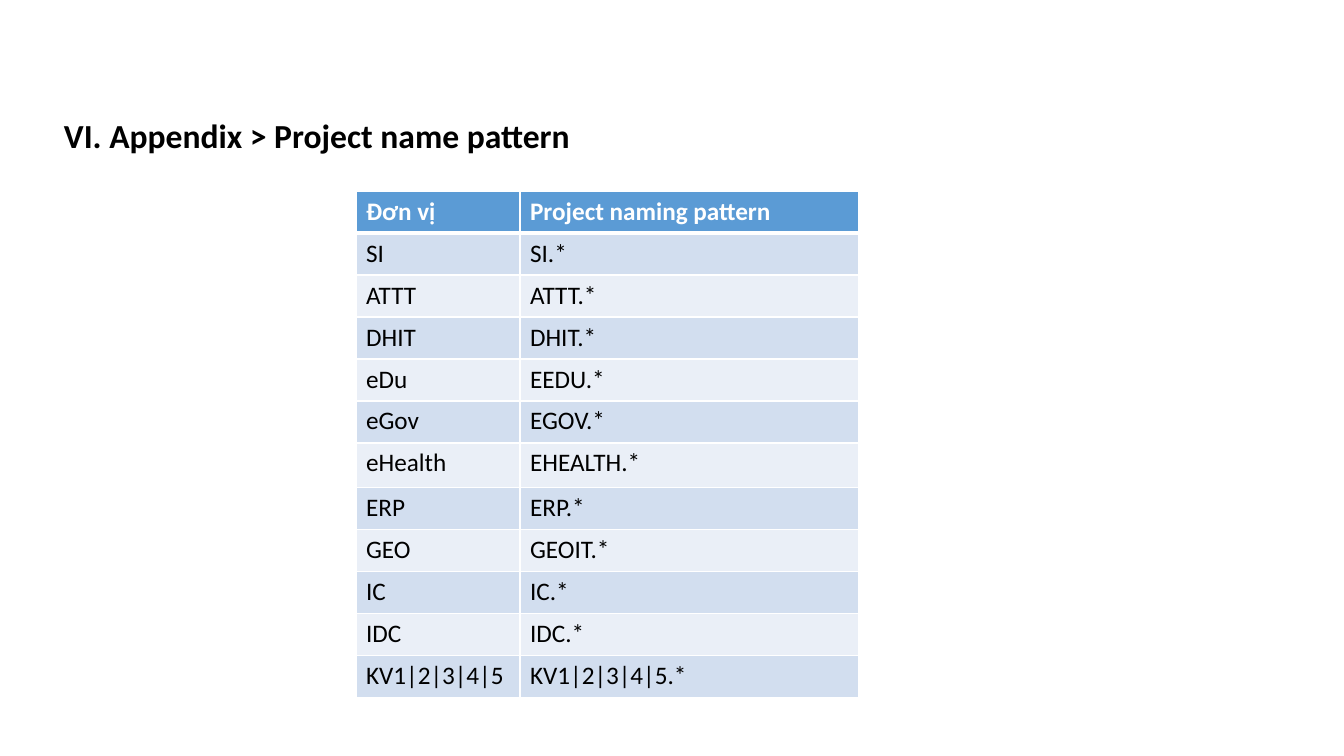
import pptx
import pptx.util
import pptx.dml.color
import pptx.enum.text
import pptx.oxml
import pptx.oxml.ns

RGB = pptx.dml.color.RGBColor
BLACK = RGB(0x00, 0x00, 0x00)
WHITE = RGB(0xFF, 0xFF, 0xFF)
BLUE = RGB(0x5B, 0x9B, 0xD5)
BANDS = (RGB(0xEA, 0xEF, 0xF7), RGB(0xD2, 0xDE, 0xEF))
FONT = "Calibri"

ROWS = [
    ("Đơn vị", "Project naming pattern"),
    ("SI", "SI.*"),
    ("ATTT", "ATTT.*"),
    ("DHIT", "DHIT.*"),
    ("eDu", "EEDU.*"),
    ("eGov", "EGOV.*"),
    ("eHealth", "EHEALTH.*"),
    ("ERP", "ERP.*"),
    ("GEO", "GEOIT.*"),
    ("IC", "IC.*"),
    ("IDC", "IDC.*"),
    ("KV1|2|3|4|5", "KV1|2|3|4|5.*"),
]
WIDTHS = (164, 339)
HEIGHTS = [45 if unit == "eHealth" else 42 for unit, _ in ROWS]


def px(count):
    return pptx.util.Emu(count * 9144000 // 1008)


def style(frame, size, color, bold):
    for para in frame.paragraphs:
        for run in para.runs:
            run.font.name = FONT
            run.font.size = pptx.util.Pt(size)
            run.font.bold = bold
            run.font.color.rgb = color


def add_title(slide, text):
    box = slide.shapes.add_textbox(px(54), px(28), px(1159), px(146))
    frame = box.text_frame
    frame.word_wrap = True
    frame.vertical_anchor = pptx.enum.text.MSO_ANCHOR.MIDDLE
    frame.margin_top = px(79)
    frame.text = text
    frame.paragraphs[0].line_spacing = 0.9
    style(frame, 24, BLACK, True)


def edge(cell, side, width):
    line = pptx.oxml.parse_xml(
        f'<a:ln{side} {pptx.oxml.ns.nsdecls("a")} w="{pptx.util.Pt(width)}">'
        f'<a:solidFill><a:srgbClr val="{WHITE}"/></a:solidFill></a:ln{side}>'
    )
    cell._tc.get_or_add_tcPr().append(line)


def fill_cell(cell, text, row):
    head = row == 0
    cell.text_frame.text = text
    style(cell.text_frame, 18, WHITE if head else BLACK, head)
    for side in "LRTB":
        thick = (row, side) in ((0, "B"), (1, "T"))
        edge(cell, side, 3 if thick else 1)
    cell.fill.solid()
    cell.fill.fore_color.rgb = BLUE if head else BANDS[row % 2]


def add_grid(slide):
    frame = slide.shapes.add_table(
        len(ROWS), len(WIDTHS), px(356), px(191), px(sum(WIDTHS)), px(sum(HEIGHTS))
    )
    table = frame.table
    for col, width in zip(table.columns, WIDTHS):
        col.width = px(width)
    for row, texts in enumerate(ROWS):
        table.rows[row].height = px(HEIGHTS[row])
        for col, text in enumerate(texts):
            fill_cell(table.cell(row, col), text, row)


def main():
    deck = pptx.Presentation()
    deck.slide_width = px(1344)
    deck.slide_height = px(756)
    slide = deck.slides.add_slide(deck.slide_layouts[6])
    add_title(slide, "VI. Appendix > Project name pattern")
    add_grid(slide)
    deck.save("out.pptx")


if __name__ == "__main__":
    main()
